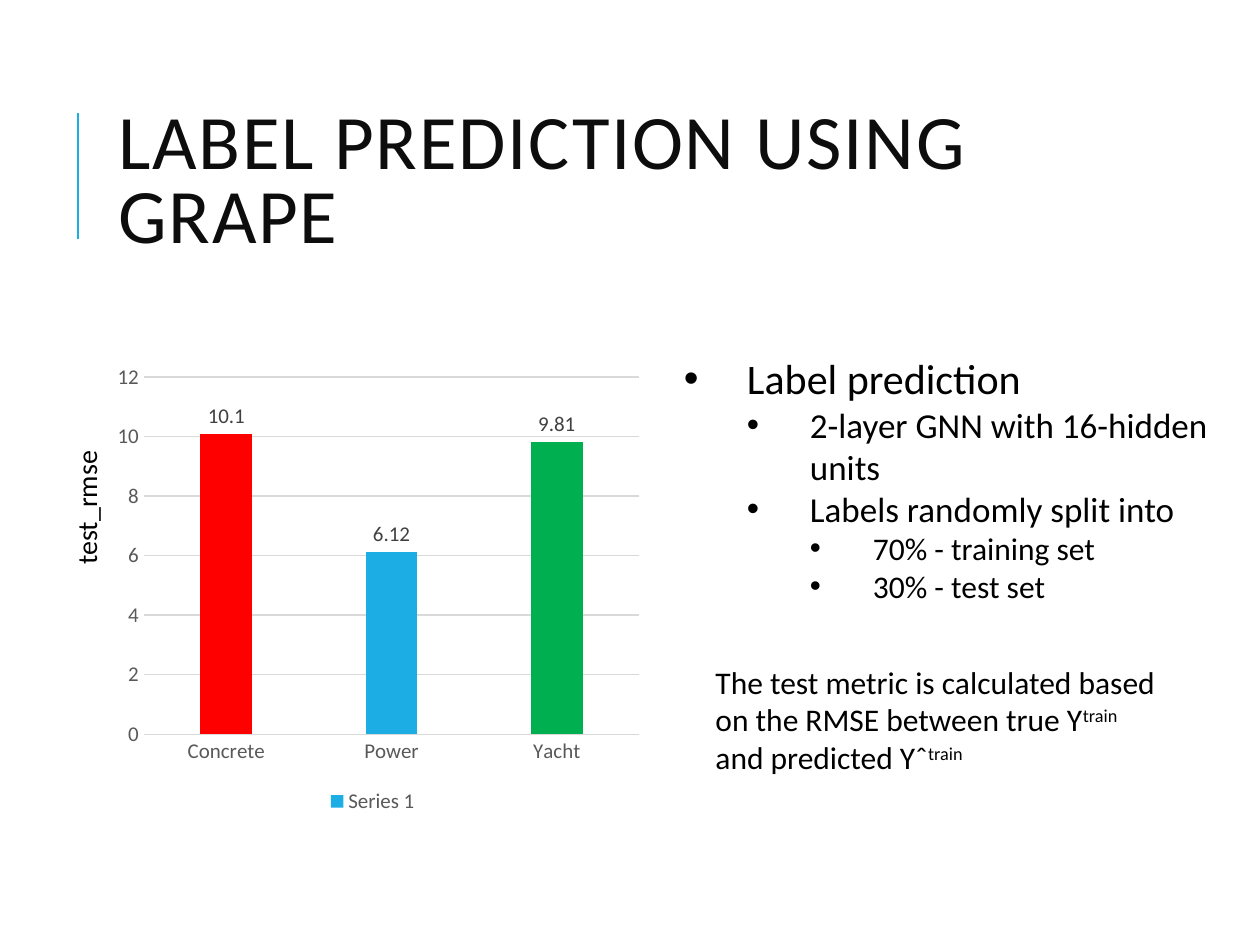
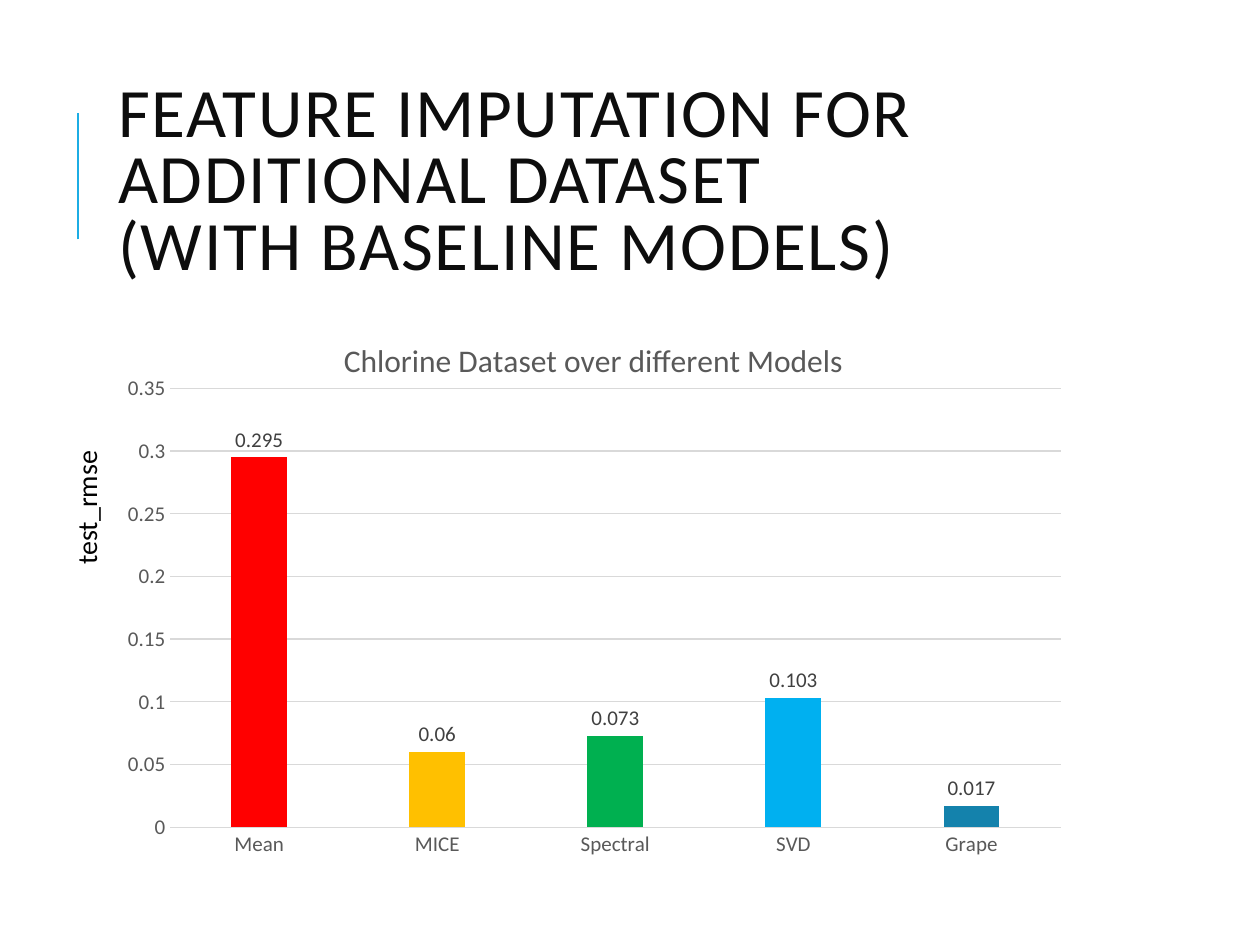
from lxml import etree
from pptx import Presentation
from pptx.chart.data import CategoryChartData
from pptx.dml.color import RGBColor
from pptx.enum import chart as ch, shapes, text
from pptx.oxml import ns
from pptx.util import Inches, Pt

FONT = "Calibri"
BLACK = RGBColor(0x00, 0x00, 0x00)
TITLE_INK = RGBColor(0x0D, 0x0D, 0x0D)
LABEL_INK = RGBColor(0x40, 0x40, 0x40)
AXIS_INK = RGBColor(0x59, 0x59, 0x59)
GRID = RGBColor(0xD9, 0xD9, 0xD9)
ACCENT = RGBColor(0x1C, 0xAD, 0xE4)
RED = RGBColor(0xFF, 0x00, 0x00)
GREEN = RGBColor(0x00, 0xB0, 0x50)
AMBER = RGBColor(0xFF, 0xC0, 0x00)
SKY = RGBColor(0x00, 0xB0, 0xF0)
TEAL = RGBColor(0x14, 0x82, 0xAC)

BULLETS = [
    (0, "Label prediction"),
    (1, "2-layer GNN with 16-hidden units"),
    (1, "Labels randomly split into"),
    (2, "70% - training set"),
    (2, "30% - test set"),
]
BULLET_SIZES = [24, 20, 18]
METRIC_NOTE = [
    ("The test metric is calculated based on the RMSE between true Y", False),
    ("train", True),
    (" and predicted Yˆ", False),
    ("train", True),
]


def style_font(font, size, color):
    """Apply the deck's typeface with a size and colour."""
    font.name = FONT
    font.size = Pt(size)
    font.color.rgb = color


def add_textbox(slide, box):
    """Add a wrapping text box at (left, top, width, height) in inches."""
    textbox = slide.shapes.add_textbox(*map(Inches, box))
    textbox.text_frame.word_wrap = True
    return textbox


def add_heading(slide, box, title, size):
    """Add the accent rule and the spaced title beside it."""
    left, top = box[:2]
    rule_x = Inches(left - 0.22)
    rule = slide.shapes.add_connector(
        shapes.MSO_CONNECTOR.STRAIGHT,
        rule_x, Inches(top + 1.26), rule_x, Inches(top + 0.26))
    rule.line.color.rgb = ACCENT
    rule.line.width = Pt(1.5)
    etree.SubElement(rule._element.spPr, ns.qn("a:effectLst"))

    frame = add_textbox(slide, box).text_frame
    frame.vertical_anchor = text.MSO_ANCHOR.MIDDLE
    frame.text = title
    heading = frame.paragraphs[0]
    heading.line_spacing = 0.8
    for run in heading.runs:
        style_font(run.font, size, TITLE_INK)
        run.font._element.set("spc", "100")


def add_axis_caption(slide):
    """Add the rotated metric name left of the chart."""
    caption = add_textbox(slide, (0.1, 3.81, 1.17, 0.37))
    caption.rotation = 270
    caption.text_frame.text = "test_rmse"
    style_font(caption.text_frame.paragraphs[0].runs[0].font, 16, BLACK)


def set_plot_layout(chart, layout):
    """Fix the inner plot area as fractions of the chart."""
    plot_area = chart._chartSpace.chart.plotArea
    for old in plot_area.findall(ns.qn("c:layout")):
        plot_area.remove(old)
    holder = etree.Element(ns.qn("c:layout"))
    manual = etree.SubElement(holder, ns.qn("c:manualLayout"))
    settings = [("layoutTarget", "inner"), ("xMode", "edge"), ("yMode", "edge")]
    settings += zip("xywh", map(str, layout))
    for tag, value in settings:
        etree.SubElement(manual, ns.qn(f"c:{tag}")).set("val", value)
    plot_area.insert(0, holder)


def add_rmse_chart(slide, box, bars, base_color, axis_max, axis_step, layout,
                   title=None, legend=False):
    """Add a column chart from (category, value, colour) bars."""
    data = CategoryChartData()
    data.categories = [name for name, _, _ in bars]
    data.add_series("Series 1", [value for _, value, _ in bars])
    chart = slide.shapes.add_chart(
        ch.XL_CHART_TYPE.COLUMN_CLUSTERED, *map(Inches, box), data).chart
    style_font(chart.font, 10, BLACK)

    chart.has_title = title is not None
    if title:
        chart.chart_title.text_frame.text = title
        title_run = chart.chart_title.text_frame.paragraphs[0].runs[0]
        style_font(title_run.font, 18, AXIS_INK)
        title_run.font.bold = False
    chart.has_legend = legend
    if legend:
        chart.legend.position = ch.XL_LEGEND_POSITION.BOTTOM
        chart.legend.include_in_layout = False
        style_font(chart.legend.font, 12, AXIS_INK)

    for axis in (chart.category_axis, chart.value_axis):
        axis.major_tick_mark = axis.minor_tick_mark = ch.XL_TICK_MARK.NONE
        style_font(axis.tick_labels.font, 12, AXIS_INK)
    values = chart.value_axis
    values.minimum_scale, values.maximum_scale = 0, axis_max
    values.major_unit = axis_step
    values.format.line.fill.background()
    for line in (chart.category_axis.format.line,
                 values.major_gridlines.format.line):
        line.color.rgb = GRID
        line.width = Pt(0.75)

    plot = chart.plots[0]
    plot.gap_width, plot.overlap = 219, -27
    plot.vary_by_categories = False
    series = plot.series[0]
    series.format.fill.solid()
    series.format.fill.fore_color.rgb = base_color
    for index, (_, _, color) in enumerate(bars):
        if color != base_color:
            fill = series.points[index].format.fill
            fill.solid()
            fill.fore_color.rgb = color
    labels = series.data_labels
    labels.show_value = True
    labels.position = ch.XL_LABEL_POSITION.OUTSIDE_END
    style_font(labels.font, 12, LABEL_INK)
    set_plot_layout(chart, layout)


def add_bullets(slide, box):
    """Add the nested list describing the label prediction setup."""
    frame = add_textbox(slide, box).text_frame
    for index, (level, wording) in enumerate(BULLETS):
        item = frame.add_paragraph() if index else frame.paragraphs[0]
        item.text = wording
        item.level = level
        properties = item._p.get_or_add_pPr()
        properties.set("marL", str(Inches(0.5 * (level + 1))))
        properties.set("indent", str(Inches(-0.5)))
        etree.SubElement(properties, ns.qn("a:buFont")).set("typeface", "Arial")
        etree.SubElement(properties, ns.qn("a:buChar")).set("char", "•")
        style_font(item.runs[0].font, BULLET_SIZES[level], BLACK)


def add_metric_note(slide, box):
    """Add the note on the metric, with raised set names."""
    note = add_textbox(slide, box).text_frame.paragraphs[0]
    for wording, raised in METRIC_NOTE:
        run = note.add_run()
        run.text = wording
        style_font(run.font, 18, BLACK)
        if raised:
            run.font._element.set("baseline", "30000")


def build_label_prediction(slide):
    """Build the slide on label prediction."""
    add_heading(slide, (0.84, 0.64, 8.41, 1.64), "LABEL PREDICTION USING GRAPE", 44)
    bars = [("Concrete", 10.1, RED), ("Power", 6.12, ACCENT), ("Yacht", 9.81, GREEN)]
    add_rmse_chart(slide, (0.84, 2.5, 4.24, 4), bars, ACCENT, 12, 2,
                   (0.081, 0.123, 0.929, 0.709), legend=True)
    add_axis_caption(slide)
    add_bullets(slide, (5.33, 2.75, 4.58, 2.12))
    add_metric_note(slide, (5.58, 5.21, 3.79, 1.01))


def build_feature_imputation(slide):
    """Build the slide comparing imputation models."""
    add_heading(slide, (0.84, 0.64, 8.66, 1.64),
                "FEATURE IMPUTATION FOR ADDITIONAL DATASET\v(WITH BASELINE MODELS)",
                39.6)
    bars = [("Mean", 0.295, RED), ("MICE", 0.06, AMBER), ("Spectral", 0.073, GREEN),
            ("SVD", 0.103, SKY), ("Grape", 0.017, TEAL)]
    add_rmse_chart(slide, (0.84, 2.5, 7.74, 4.42), bars, RED, 0.35, 0.05,
                   (0.066, 0.132, 0.913, 0.788),
                   title="Chlorine Dataset over different Models")
    add_axis_caption(slide)


def main():
    """Create the two slides and save the deck."""
    deck = Presentation()
    deck.slide_width, deck.slide_height = Inches(10), Inches(7.5)
    for build in (build_label_prediction, build_feature_imputation):
        build(deck.slides.add_slide(deck.slide_layouts[6]))
    deck.save("out.pptx")


if __name__ == "__main__":
    main()
